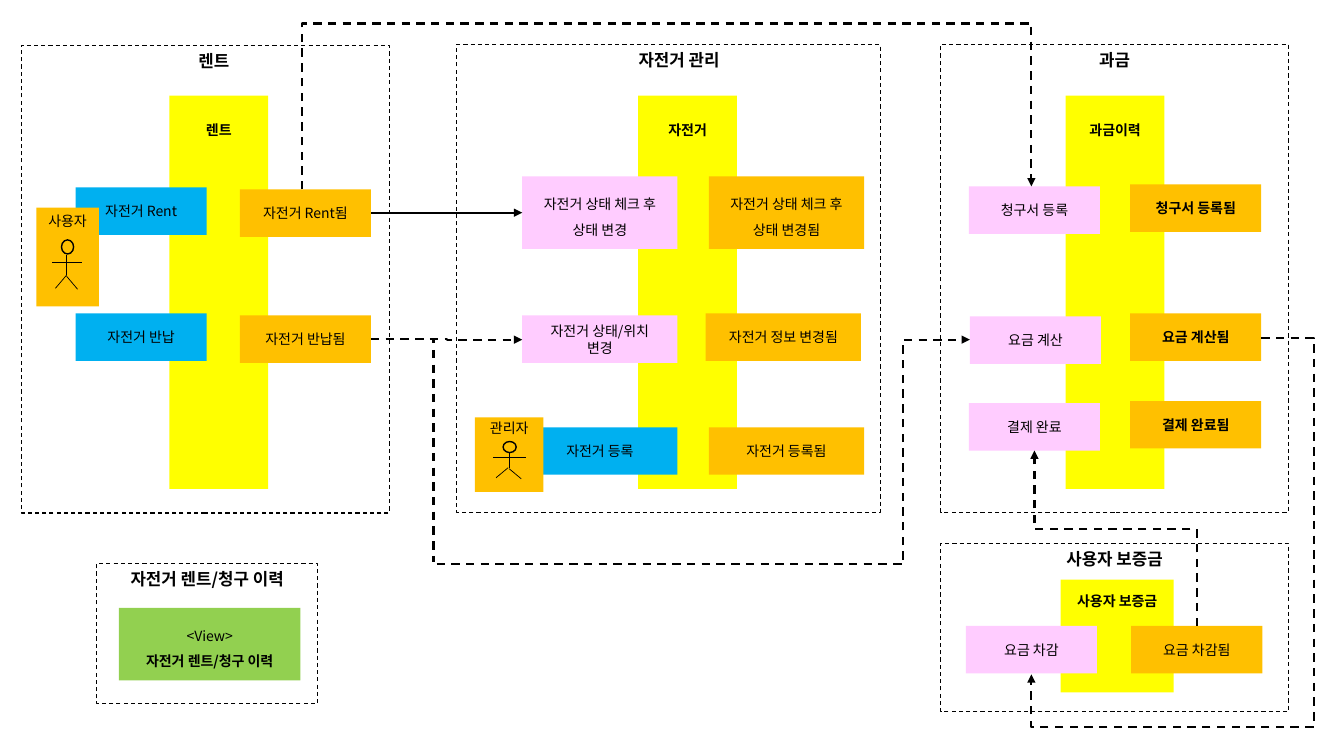
from lxml import etree
from pptx import Presentation, util as u
from pptx.dml import color
from pptx.enum import dml, shapes, text
from pptx.oxml import ns

COLOURS = {"aggregate": "FFFF00", "command": "00B0F0", "event": "FFC000",
           "policy": "FFCCFF", "view": "92D050", "ink": "000000"}
FONT = "Noto Sans CJK KR"

deck = Presentation()
deck.slide_width, deck.slide_height = u.Inches(13.33), u.Inches(7.5)
board = deck.slides.add_slide(deck.slide_layouts[6])
CELL = deck.slide_height / 75  # square grid: 75 rows, 133.3 columns


def box(area, lines=(), fill=None, outline=None, size=10, bold=(), top=None,
        shift=0, spacing=1, kind=shapes.MSO_SHAPE.RECTANGLE):
    """Draw a shape at grid area (column, row, columns, rows) with centred lines."""
    shape = board.shapes.add_shape(kind, *(round(n * CELL) for n in area))
    shape.shadow.inherit = False
    if fill:
        shape.fill.solid()
        shape.fill.fore_color.rgb = color.RGBColor.from_string(COLOURS[fill])
    else:
        shape.fill.background()
    if outline:
        shape.line.width = u.Pt(outline)
        shape.line.color.rgb = color.RGBColor.from_string(COLOURS["ink"])
    else:
        shape.line.fill.background()
    frame = shape.text_frame
    frame.word_wrap = True
    frame.vertical_anchor = text.MSO_ANCHOR.MIDDLE
    if top is not None:
        frame.vertical_anchor = text.MSO_ANCHOR.TOP
        frame.margin_top = round(top * CELL)
    frame.margin_left += round(shift * CELL)
    for i, words in enumerate(lines):
        para = frame.add_paragraph() if i else frame.paragraphs[0]
        para.alignment = text.PP_ALIGN.CENTER
        para.line_spacing = spacing
        run = para.add_run()
        run.text = words
        run.font.size, run.font.name, run.font.bold = u.Pt(size), FONT, i in bold
        run.font.color.rgb = color.RGBColor.from_string(COLOURS["ink"])
        etree.SubElement(run.font._element, ns.qn("a:ea"), typeface=FONT)
    return shape


def link(start, end, bends=None, upright=False, width=1.5, dashed=True, arrow=True):
    """Connect two grid points; bends give the turning columns or rows in order."""
    (x0, y0), (x1, y1) = start, end
    dx, dy = x1 - x0, y1 - y0
    cx, cy = (x0 + x1) / 2, (y0 + y1) / 2
    ends = (cx - dy / 2, cy + dx / 2, cx + dy / 2, cy - dx / 2) if upright else (x0, y0, x1, y1)
    style = shapes.MSO_CONNECTOR.STRAIGHT if bends is None else shapes.MSO_CONNECTOR.ELBOW
    wire = board.shapes.add_connector(style, *(round(n * CELL) for n in ends))
    props = wire._element.spPr
    if upright:
        props.find(ns.qn("a:xfrm")).set("rot", str(90 * 60000))
    if bends is not None:
        route = props.find(ns.qn("a:prstGeom"))
        route.set("prst", f"bentConnector{len(bends) + 2}")
        guides = route.find(ns.qn("a:avLst"))
        axes = [(y0, dy), (x0, dx)] if upright else [(x0, dx), (y0, dy)]
        for i, (turn, (origin, span)) in enumerate(zip(bends, axes), 1):
            etree.SubElement(guides, ns.qn("a:gd"), name=f"adj{i}" if len(bends) > 1 else "adj1",
                             fmla=f"val {round((turn - origin) / span * 100000)}")
    wire.line.width = u.Pt(width)
    wire.line.color.rgb = color.RGBColor.from_string(COLOURS["ink"])
    if dashed:
        wire.line.dash_style = dml.MSO_LINE.DASH
    if arrow:
        etree.SubElement(wire.line._ln, ns.qn("a:tailEnd"), type="triangle")
    etree.SubElement(props, ns.qn("a:effectLst"))


# Aggregates
for column, name in [(16.8, "렌트"), (63.3, "자전거"), (105.7, "과금이력")]:
    box((column, 9.5, 9.8, 39), [name], "aggregate", bold=[0], top=2.6)
box((105.2, 57.5, 11.2, 11.2), ["사용자 보증금"], "aggregate", bold=[0], top=1.3)

# Commands, policies and events: column, row, role, wording, bold
SLIM, WIDE, LOW, TALL = 13, 15.4, 4.7, 7.2
rent_notes = [
    (7.5, 18.6, "command", "자전거 Rent", False), (23.8, 18.8, "event", "자전거 Rent됨", False),
    (7.5, 31.1, "command", "자전거 반납", False), (23.8, 31.3, "event", "자전거 반납됨", False)]
billing_notes = [
    (96.1, 18.5, "policy", "청구서 등록", False), (112.1, 18.3, "event", "청구서 등록됨", True),
    (96.2, 31.4, "policy", "요금 계산", False), (112.1, 31.1, "event", "요금 계산됨", True),
    (96.1, 40, "policy", "결제 완료", False), (112.1, 39.8, "event", "결제 완료됨", True)]
deposit_notes = [
    (95.8, 62.1, "policy", "요금 차감", False), (112.2, 62.1, "event", "요금 차감됨", False)]
for column, row, role, words, strong in rent_notes + billing_notes + deposit_notes:
    box((column, row, SLIM, LOW), [words], role, bold=[0] if strong else [])

bike_notes = [
    (51.8, 17.5, TALL, "policy", ["자전거 상태 체크 후", "상태 변경"]),
    (70.3, 17.5, TALL, "event", ["자전거 상태 체크 후", "상태 변경됨"]),
    (51.8, 31.3, LOW, "policy", ["자전거 상태/위치", "변경"]),
    (70, 31.1, LOW, "event", ["자전거 정보 변경됨"]),
    (51.8, 42.4, LOW, "command", ["자전거 등록"]),
    (70.3, 42.4, LOW, "event", ["자전거 등록됨"])]
for column, row, rows, role, lines in bike_notes:
    box((column, row, WIDE, rows), lines, role, spacing=1.5 if rows == TALL else 1)
box((11.8, 60.3, 18, TALL), ["<View>", "자전거 렌트/청구 이력"], "view", bold=[1], spacing=1.5)

# Bounded contexts: area, title, shift of the title
contexts = [
    ((2.1, 4.5, 36.5, 46.4), "렌트", 1.7), ((45.3, 4.4, 42, 46.4), "자전거 관리", 2.1),
    ((93.3, 4.4, 34.5, 46.4), "과금", 0), ((93.3, 53.9, 34.5, 16.7), "사용자 보증금", 0),
    ((9.6, 55.9, 21.9, 13.9), "자전거 렌트/청구 이력", 0)]
for area, title, shift in contexts:
    context = box(area, [title], outline=0.75, size=12, bold=[0], top=0.5, shift=shift)
    context.line.dash_style = dml.MSO_LINE.DASH

# Actors: card, name, inset, head, then arms, body and legs
actors = [
    ((3.6, 20.6, 6.2, 9.8), "사용자", 0.5, (6.1, 23.8, 1.2, 1.4),
     [(5.2, 26, 8.1, 26), (6.6, 25.3, 6.6, 27.3), (6.6, 27.3, 5.5, 28.6), (6.6, 27.4, 7.7, 28.7)]),
    ((47.1, 41.4, 6.8, 7.4), "관리자", 0.2, (49.9, 43.8, 1.3, 1.1),
     [(48.9, 45.4, 52.2, 45.4), (50.5, 44.9, 50.5, 46.4), (50.4, 46.4, 49.2, 47.4),
      (50.5, 46.5, 51.7, 47.5)])]
for card, name, inset, head, limbs in actors:
    box(card, [name], "event", top=inset)
    box(head, outline=1, kind=shapes.MSO_SHAPE.OVAL)
    for limb in limbs:
        link(limb[:2], limb[2:], width=0.5, dashed=False, arrow=False)

# Flow between contexts
link((36.8, 21.1), (51.8, 21.1), dashed=False)
link((36.8, 33.6), (51.8, 33.7), [44.3])
link((36.8, 33.6), (43, 55.8), [], arrow=False)
link((43.3, 56), (96.2, 33.7), [89.6])
link((118.7, 62.1), (102.6, 44.7), [52.5], upright=True)
link((125.1, 33.5), (102.3, 66.9), [130.3, 72.1])
link((30, 18.8), (102.3, 18.5), [2.3], upright=True)

deck.save("out.pptx")
